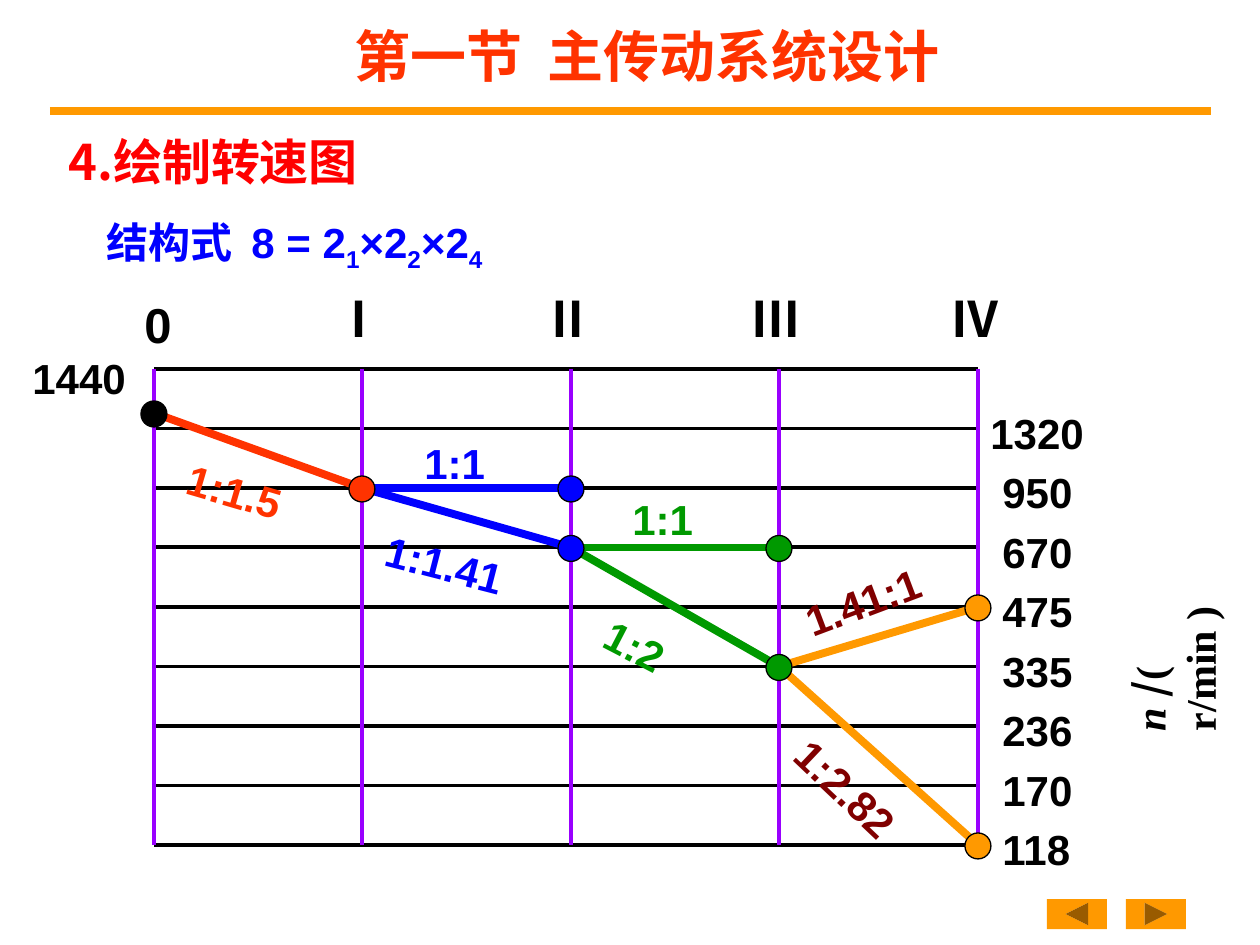
from lxml import etree
from pptx import Presentation
from pptx import util as u
from pptx.dml import color
from pptx.enum import shapes, text
from pptx.oxml import ns

SCALE = 914400 / 126
CJK = "Noto Sans CJK SC"
RED, BLUE, GREEN, ORANGE, MAROON = "FF3300", "0000FF", "009900", "FF9900", "800000"
COLUMNS = [0, 208, 417, 625, 824]
ROW_COUNT = 9
SPEEDS = ["1320", "950", "670", "475", "335", "236", "170", "118"]
NODES = {
    "motor": (0, 0.74, "000000"),
    "shaft 1": (1, 2, RED),
    "shaft 2 high": (2, 2, BLUE),
    "shaft 2 low": (2, 3, BLUE),
    "shaft 3 high": (3, 3, GREEN),
    "shaft 3 low": (3, 5, GREEN),
    "shaft 4 high": (4, 4, ORANGE),
    "shaft 4 low": (4, 8, ORANGE),
}
DRIVES = [
    ("motor", "shaft 1"),
    ("shaft 1", "shaft 2 high"),
    ("shaft 1", "shaft 2 low"),
    ("shaft 2 low", "shaft 3 high"),
    ("shaft 2 low", "shaft 3 low"),
    ("shaft 3 low", "shaft 4 high"),
    ("shaft 3 low", "shaft 4 low"),
]
RATIOS = [
    ("1:1.5", RED, 20, 93, 139, 16.3),
    ("1:1", BLUE, 258, 62, 89, 0),
    ("1:1", GREEN, 466, 118, 89, 0),
    ("1:2.82", MAROON, 615, 400, 179, 43.6),
    ("1.41:1", MAROON, 635, 191, 199, 339.4),
    ("1:2", GREEN, 437, 251, 110, 27.4),
    ("1:1.41", BLUE, 218, 168, 179, 14.4),
]


def px(length):
    """Turn pixels into EMU."""
    return u.Emu(round(length * SCALE))


def rgb(value):
    """Return the colour of a hex string."""
    return color.RGBColor.from_string(value)


def format_run(run, size, hex_color, name="Arial", italic=False, baseline=0):
    """Give a run its font, colour and baseline."""
    formats = {"size": u.Pt(size), "name": name, "bold": True, "italic": italic}
    for key, value in formats.items():
        setattr(run.font, key, value)
    run.font.color.rgb = rgb(hex_color)
    properties = run._r.get_or_add_rPr()
    east_asian = etree.SubElement(properties, ns.qn("a:ea"))
    east_asian.set("typeface", name if name != "Arial" else CJK)
    if baseline:
        properties.set("baseline", str(baseline))


def format_frame(frame, anchor):
    """Give a text frame its wrapping, anchor and insets."""
    formats = {
        "word_wrap": True,
        "auto_size": text.MSO_AUTO_SIZE.NONE,
        "vertical_anchor": anchor,
        "margin_left": u.Inches(0.1),
        "margin_right": u.Inches(0.1),
        "margin_top": u.Inches(0.05),
        "margin_bottom": u.Inches(0.05),
    }
    for key, value in formats.items():
        setattr(frame, key, value)


def add_text(slide, box, runs, rotation=0, anchor=text.MSO_ANCHOR.MIDDLE):
    """Add a text box with one paragraph of (text, format) runs."""
    shape = slide.shapes.add_textbox(*map(px, box))
    shape.rotation = rotation
    format_frame(shape.text_frame, anchor)
    paragraph = shape.text_frame.paragraphs[0]
    for words, formats in runs:
        run = paragraph.add_run()
        run.text = words
        format_run(run, **formats)
    return shape


def add_line(slide, start, end, hex_color, width):
    """Add a straight line without shadow."""
    line = slide.shapes.add_connector(
        shapes.MSO_CONNECTOR.STRAIGHT, *map(px, start + end)
    )
    line.line.color.rgb = rgb(hex_color)
    line.line.width = u.Pt(width)
    etree.SubElement(line._element.spPr, ns.qn("a:effectLst"))


def add_filled(slide, kind, box, hex_color):
    """Add a preset shape with a plain fill."""
    shape = slide.shapes.add_shape(kind, *map(px, box))
    shape.shadow.inherit = False
    shape.fill.solid()
    shape.fill.fore_color.rgb = rgb(hex_color)
    return shape


def add_header(slide, left, top, width, height):
    """Place the title and the rule beneath it."""
    title = slide.shapes.title
    box = {"left": left + 104, "top": top, "width": width - 174, "height": height - 15}
    for key, value in box.items():
        setattr(title, key, px(value))
    format_frame(title.text_frame, text.MSO_ANCHOR.MIDDLE)
    paragraph = title.text_frame.paragraphs[0]
    paragraph.alignment = text.PP_ALIGN.CENTER
    run = paragraph.add_run()
    run.text = "第一节  主传动系统设计"
    format_run(run, 32, RED, CJK)
    bottom = top + height
    add_line(slide, (left, bottom), (left + width, bottom), ORANGE, 4.5)


def add_introduction(slide, left, top, width):
    """Place the heading and the structural formula."""
    heading = {"size": 28, "hex_color": "FF0000", "name": CJK}
    add_text(slide, (left, top, width, 72), [("4.绘制转速图", heading)])
    normal = {"size": 24, "hex_color": BLUE}
    lowered = {**normal, "baseline": -25000}
    parts = ["结构式  8 = 2", "1", "×2", "2", "×2", "4"]
    runs = [(part, lowered if i % 2 else normal) for i, part in enumerate(parts)]
    add_text(slide, (left + 38, top + 79, width + 146, 82), runs)


def add_grid(slide, left, top, width, height):
    """Draw the speed rows and the shaft columns."""
    for row in range(ROW_COUNT):
        y = top + height * row / (ROW_COUNT - 1)
        add_line(slide, (left, y), (left + width, y), "000000", 2.25)
    for column in COLUMNS:
        x = left + column
        add_line(slide, (x, top), (x, top + height), "9900FF", 2.25)


def add_axis_labels(slide, left, top, width):
    """Place the shaft numbers, the speeds and their unit."""
    black = {"size": 28, "hex_color": "000000"}
    add_text(slide, (left - 22, top - 81, 59, 72), [("0", black)])
    for column, numeral in zip(COLUMNS[1:], "ⅠⅡⅢⅣ"):
        box = (left + column - 40, top - 87, 79, 72)
        add_text(slide, box, [(numeral, {**black, "name": CJK})])
    black["size"] = 24
    add_text(slide, (left - 134, top - 23, 123, 63), [("1440", black)])

    speeds = add_text(
        slide, (left + width, top + 23, 139, 489), [], anchor=text.MSO_ANCHOR.TOP
    )
    frame = speeds.text_frame
    for i, speed in enumerate(SPEEDS):
        paragraph = frame.add_paragraph() if i else frame.paragraphs[0]
        paragraph.line_spacing = u.Pt(34)
        if i:
            paragraph._p.get_or_add_pPr().set("marL", str(px(12)))
        run = paragraph.add_run()
        run.text = speed
        format_run(run, **black)

    serif = {**black, "name": "Times New Roman"}
    unit = [
        ("n ", {**serif, "italic": True}),
        ("/", {**black, "name": CJK}),
        ("( r/min )", serif),
    ]
    add_text(slide, (left + width + 88, top + 210, 216, 113), unit, 270)


def add_drives(slide, left, top, height):
    """Draw the drives between shafts, their nodes and their ratios."""
    centres = {
        name: (left + COLUMNS[column], top + height * row / (ROW_COUNT - 1))
        for name, (column, row, _) in NODES.items()
    }
    for start, end in DRIVES:
        add_line(slide, centres[start], centres[end], NODES[end][2], 4.5)
    for name, (x, y) in centres.items():
        box = (x - 13, y - 12, 26, 26)
        node = add_filled(slide, shapes.MSO_SHAPE.OVAL, box, NODES[name][2])
        node.line.color.rgb = rgb("000000")
        node.line.width = u.Pt(0.75)
    for words, hex_color, x, y, width, rotation in RATIOS:
        runs = [(words, {"size": 24, "hex_color": hex_color})]
        add_text(slide, (left + x, top + y, width, 63), runs, rotation)


def add_navigation(slide, left, top):
    """Place the back and forward buttons."""
    kinds = shapes.MSO_SHAPE
    buttons = [kinds.ACTION_BUTTON_BACK_OR_PREVIOUS, kinds.ACTION_BUTTON_FORWARD_OR_NEXT]
    for i, kind in enumerate(buttons):
        button = add_filled(slide, kind, (left + 79 * i, top, 60, 30), ORANGE)
        button.line.fill.background()


def main():
    """Build the slide and save it."""
    presentation = Presentation()
    presentation.slide_width, presentation.slide_height = px(1260), px(945)
    slide = presentation.slides.add_slide(presentation.slide_layouts[5])
    add_header(slide, 50, 15, 1161, 96)
    add_introduction(slide, 56, 125, 400)
    add_navigation(slide, 1047, 899)
    add_grid(slide, 154, 369, 824, 476)
    add_axis_labels(slide, 154, 369, 824)
    add_drives(slide, 154, 369, 476)
    presentation.save("out.pptx")


if __name__ == "__main__":
    main()
